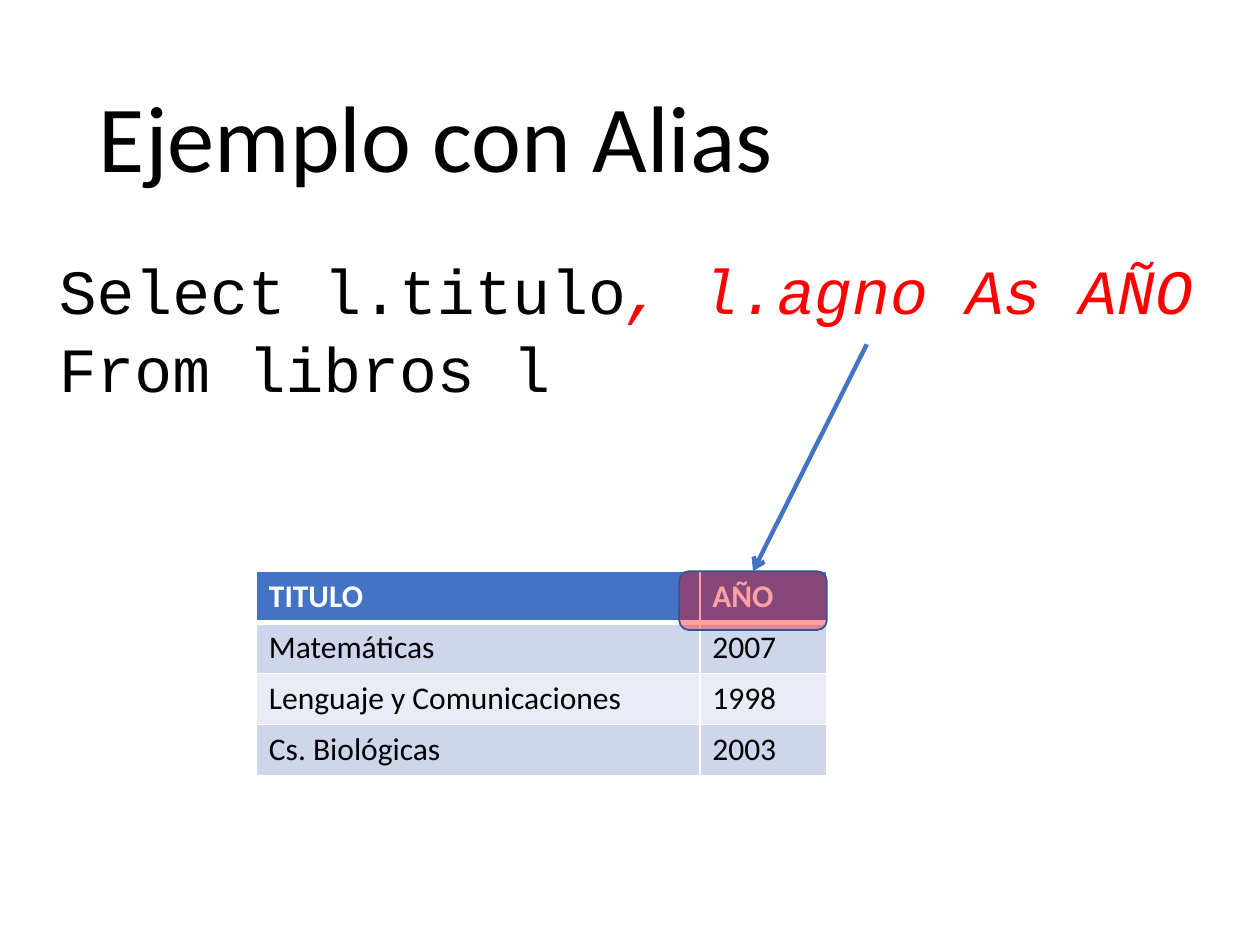
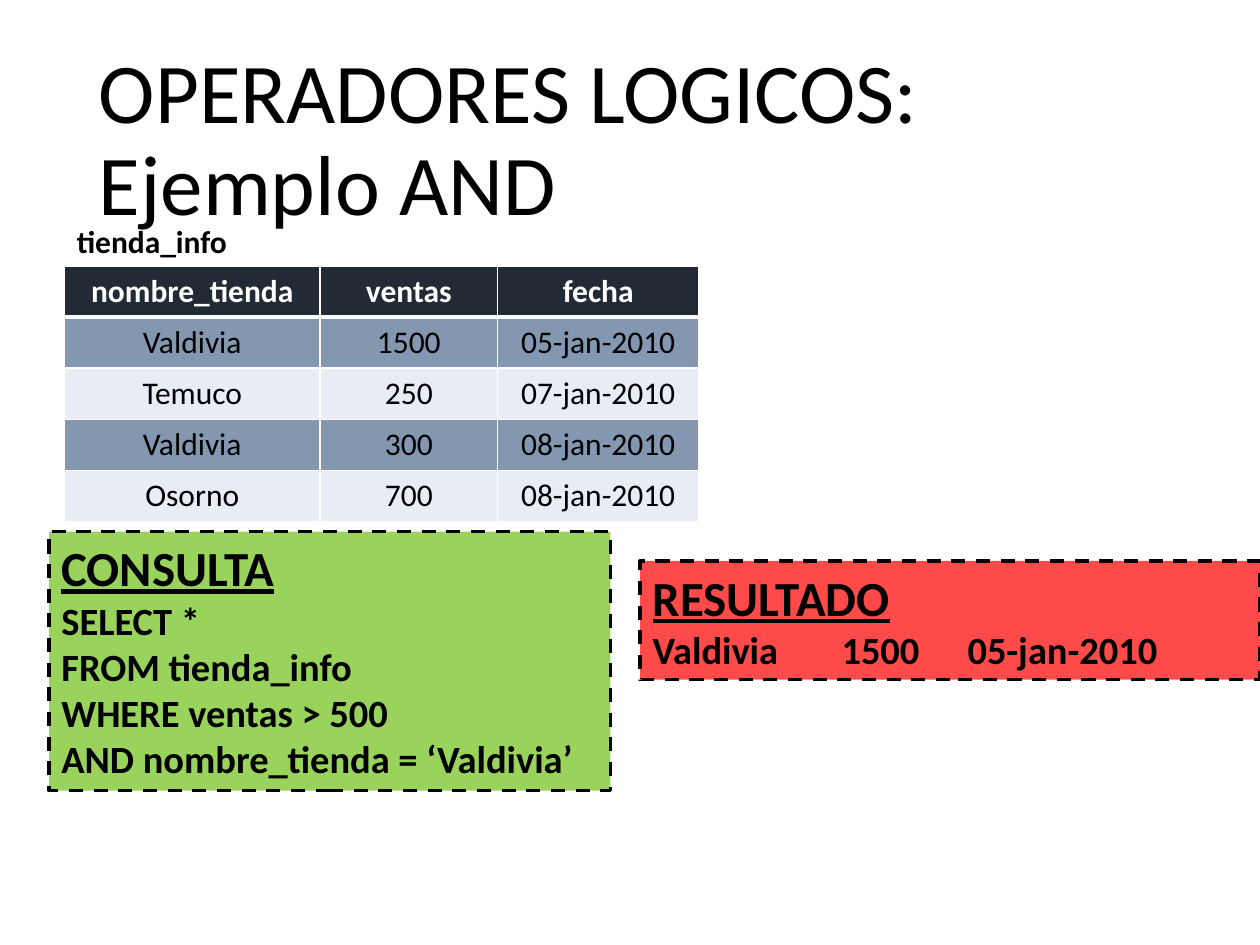
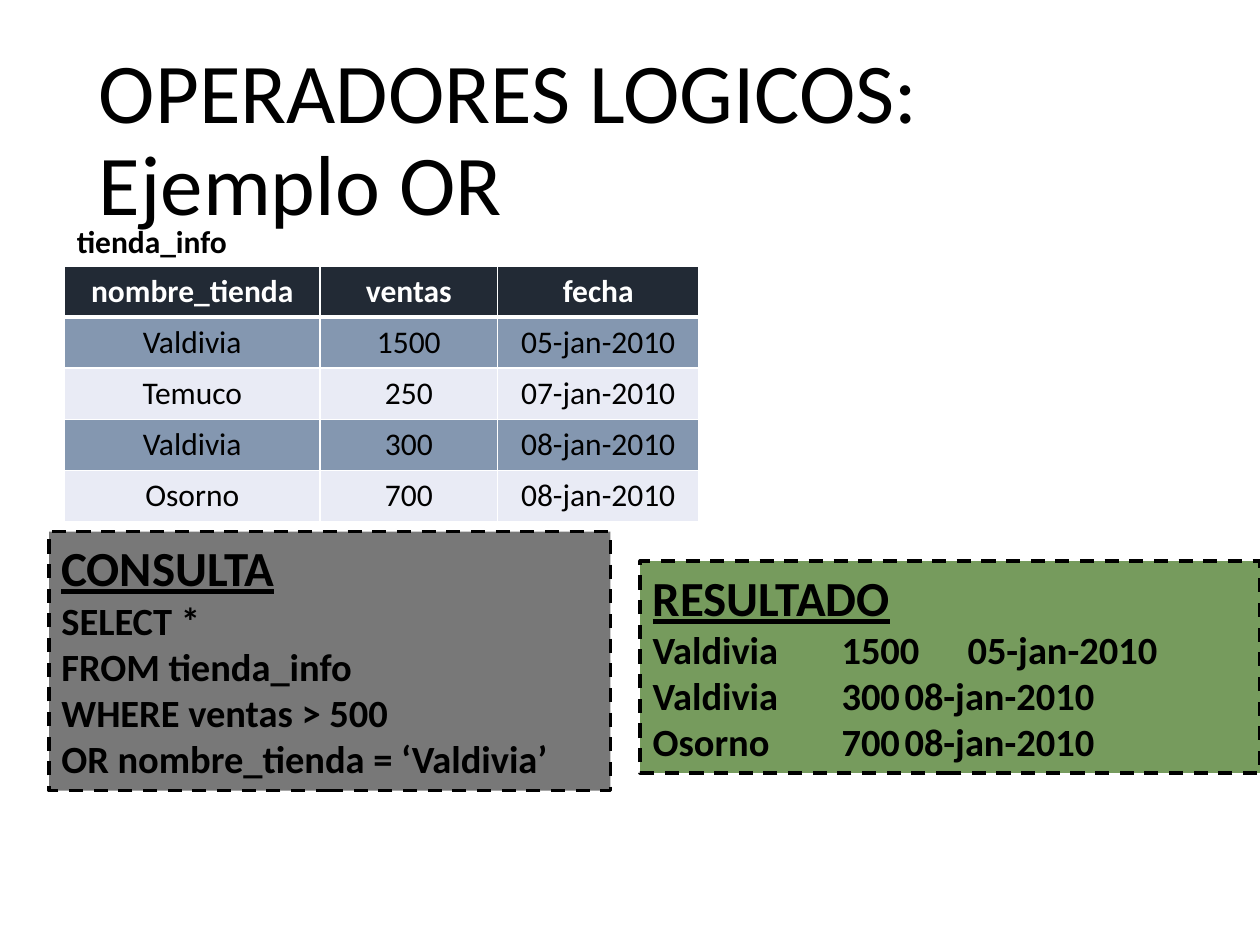
from lxml import etree
from pptx import Presentation
from pptx.dml.color import RGBColor
from pptx.enum.dml import MSO_LINE
from pptx.enum.shapes import MSO_CONNECTOR, MSO_SHAPE
from pptx.enum.text import MSO_ANCHOR, PP_ALIGN
from pptx.oxml.ns import qn
from pptx.util import Pt

BLACK, WHITE, RED = "000000", "FFFFFF", "FF0000"
BLUE, DARK_BLUE = "4472C4", "325491"
PALE_ROW = "E9EBF5"
ALIAS_COLORS = (BLUE, "CFD5EA")
STORE_COLORS = ("222A35", "8497B0")
BODY_FONT, CODE_FONT = "Calibri", "Courier New"
ROW_HEIGHT = 29.2

TITLE_BOX = (49.5, 28.8, 621, 104.4)
CODE_BOX = (26.6, 144.8, 693, 96)
ALIAS_BOX = (146.5, 326.4)
STORE_BOX = (36.8, 152)
QUERY_BOX = (28, 303.8, 320.8, 148)
RESULT_LEFT, RESULT_TOP, RESULT_WIDTH = 365.8, 320.6, 354.2

ALIAS_ROWS = [
    ("TITULO", "AÑO"),
    ("Matemáticas", "2007"),
    ("Lenguaje y Comunicaciones", "1998"),
    ("Cs. Biológicas", "2003"),
]
STORE_ROWS = [
    ("nombre_tienda", "ventas", "fecha"),
    ("Valdivia", "1500", "05-jan-2010"),
    ("Temuco", "250", "07-jan-2010"),
    ("Valdivia", "300", "08-jan-2010"),
    ("Osorno", "700", "08-jan-2010"),
]


def rgb(color):
    return RGBColor.from_string(color)


def pts(*lengths):
    return [Pt(length) for length in lengths]


def style(font, size, color=BLACK, name=BODY_FONT, bold=False):
    font.size, font.name, font.bold = Pt(size), name, bold
    font.color.rgb = rgb(color)


def fill_shape(shape, color, opacity):
    """Fill with a colour whose opacity is a percentage."""
    shape.shadow.inherit = False
    shape.fill.solid()
    shape.fill.fore_color.rgb = rgb(color)
    tint = shape.fill._xPr.find(qn("a:solidFill"))[0]
    etree.SubElement(tint, qn("a:alpha"), val=str(opacity * 1000))


def add_text_frame(slide, box):
    frame = slide.shapes.add_textbox(*pts(*box)).text_frame
    frame.word_wrap = True
    return frame


def add_title(slide, text, size):
    frame = add_text_frame(slide, TITLE_BOX)
    frame.vertical_anchor = MSO_ANCHOR.MIDDLE
    title = frame.paragraphs[0]
    title.text = text
    title.line_spacing = 0.9
    style(title.font, size)


def add_border(cell, side, width):
    properties = cell._tc.get_or_add_tcPr()
    line = etree.SubElement(properties, qn(f"a:ln{side}"), w=str(Pt(width)))
    solid = etree.SubElement(line, qn("a:solidFill"))
    etree.SubElement(solid, qn("a:srgbClr"), val=WHITE)


def add_banded_table(slide, corner, widths, rows, colors, align):
    header_color, band_color = colors
    box = (*corner, sum(widths), ROW_HEIGHT * len(rows))
    table = slide.shapes.add_table(len(rows), len(widths), *pts(*box)).table
    for column, width in zip(table.columns, widths):
        column.width = Pt(width)
    for r, values in enumerate(rows):
        is_header = r == 0
        row_color = header_color if is_header else band_color if r % 2 else PALE_ROW
        for c, value in enumerate(values):
            cell = table.cell(r, c)
            for side in "LRTB":
                under_header = (r, side) in ((0, "B"), (1, "T"))
                add_border(cell, side, 3 if under_header else 1)
            cell.fill.solid()
            cell.fill.fore_color.rgb = rgb(row_color)
            entry = cell.text_frame.paragraphs[0]
            entry.text = value
            entry.alignment = align
            style(entry.font, 18, WHITE if is_header else BLACK, bold=is_header)


def add_select_code(slide, box):
    frame = add_text_frame(slide, box)
    select, source = frame.paragraphs[0], frame.add_paragraph()
    select.add_run().text = "Select l.titulo"
    aliased = select.add_run()
    aliased.text = ", l.agno As AÑO"
    source.text = "From libros l"
    source.space_before = Pt(6)
    for line in (select, source):
        line.line_spacing = 0.9
        style(line.font, 36, name=CODE_FONT)
    aliased.font.italic = True
    aliased.font.color.rgb = rgb(RED)


def add_alias_pointer(slide, left, top):
    """Mark the renamed column heading and point at it from the query."""
    width, height = 84.4, 33.6
    highlight = slide.shapes.add_shape(
        MSO_SHAPE.ROUNDED_RECTANGLE, *pts(left, top, width, height))
    fill_shape(highlight, RED, 37)
    highlight.line.color.rgb = rgb(DARK_BLUE)
    highlight.line.width = Pt(1)

    middle = left + width / 2
    pointer = slide.shapes.add_connector(
        MSO_CONNECTOR.STRAIGHT, *pts(middle + 65, top - 129.6, middle, top))
    pointer.end_connect(highlight, 0)
    pointer.line.color.rgb = rgb(BLUE)
    pointer.line.width = Pt(2.5)
    etree.SubElement(pointer.line._get_or_add_ln(), qn("a:tailEnd"), type="arrow")
    etree.SubElement(pointer._element.spPr, qn("a:effectLst"))


def add_panel(slide, box, heading, lines, color, opacity):
    panel = slide.shapes.add_shape(MSO_SHAPE.RECTANGLE, *pts(*box))
    fill_shape(panel, color, opacity)
    panel.line.color.rgb = rgb(BLACK)
    panel.line.width = Pt(2)
    panel.line.dash_style = MSO_LINE.DASH
    frame = panel.text_frame
    frame.word_wrap = True
    frame.vertical_anchor = MSO_ANCHOR.TOP
    for i, text in enumerate([heading, *lines]):
        line = frame.add_paragraph() if i else frame.paragraphs[0]
        line.text = text
        line.alignment = PP_ALIGN.LEFT
        style(line.font, 22 if i else 28, bold=True)
        line.font.underline = i == 0


def build_alias_slide(slide):
    add_title(slide, "Ejemplo con Alias", 54)
    add_select_code(slide, CODE_BOX)
    add_banded_table(slide, ALIAS_BOX, (253.4, 72.7), ALIAS_ROWS,
                     ALIAS_COLORS, PP_ALIGN.LEFT)
    add_alias_pointer(slide, ALIAS_BOX[0] + 241.6, ALIAS_BOX[1])


def build_operator_slide(slide, operator, query_fill, results, result_fill):
    add_title(slide, f"OPERADORES LOGICOS: Ejemplo {operator}", 48.6)
    left, top = STORE_BOX
    add_banded_table(slide, STORE_BOX, (146.2, 101.3, 115.2), STORE_ROWS,
                     STORE_COLORS, PP_ALIGN.CENTER)
    table_name = add_text_frame(slide, (left, top - 28.4, 258.5, 29)).paragraphs[0]
    table_name.text = "tienda_info"
    style(table_name.font, 18, bold=True)
    query = ["SELECT *", "FROM tienda_info", "WHERE ventas > 500",
             f"{operator} nombre_tienda = ‘Valdivia’"]
    add_panel(slide, QUERY_BOX, "CONSULTA", query, *query_fill)
    result_box = (RESULT_LEFT, RESULT_TOP, RESULT_WIDTH, 41.2 + 26.6 * len(results))
    result_lines = [f"{store}\t\t{sales}\t{date}" for store, sales, date in results]
    add_panel(slide, result_box, "RESULTADO", result_lines, *result_fill)


def main():
    deck = Presentation()
    deck.slide_width, deck.slide_height = pts(720, 540)
    blank = deck.slide_layouts[6]
    build_alias_slide(deck.slides.add_slide(blank))
    build_operator_slide(deck.slides.add_slide(blank), "AND", ("92D050", 93),
                         [STORE_ROWS[1]], (RED, 71))
    build_operator_slide(deck.slides.add_slide(blank), "OR", ("262626", 62),
                         [STORE_ROWS[i] for i in (1, 3, 4)], ("548235", 80))
    deck.save("out.pptx")


if __name__ == "__main__":
    main()
